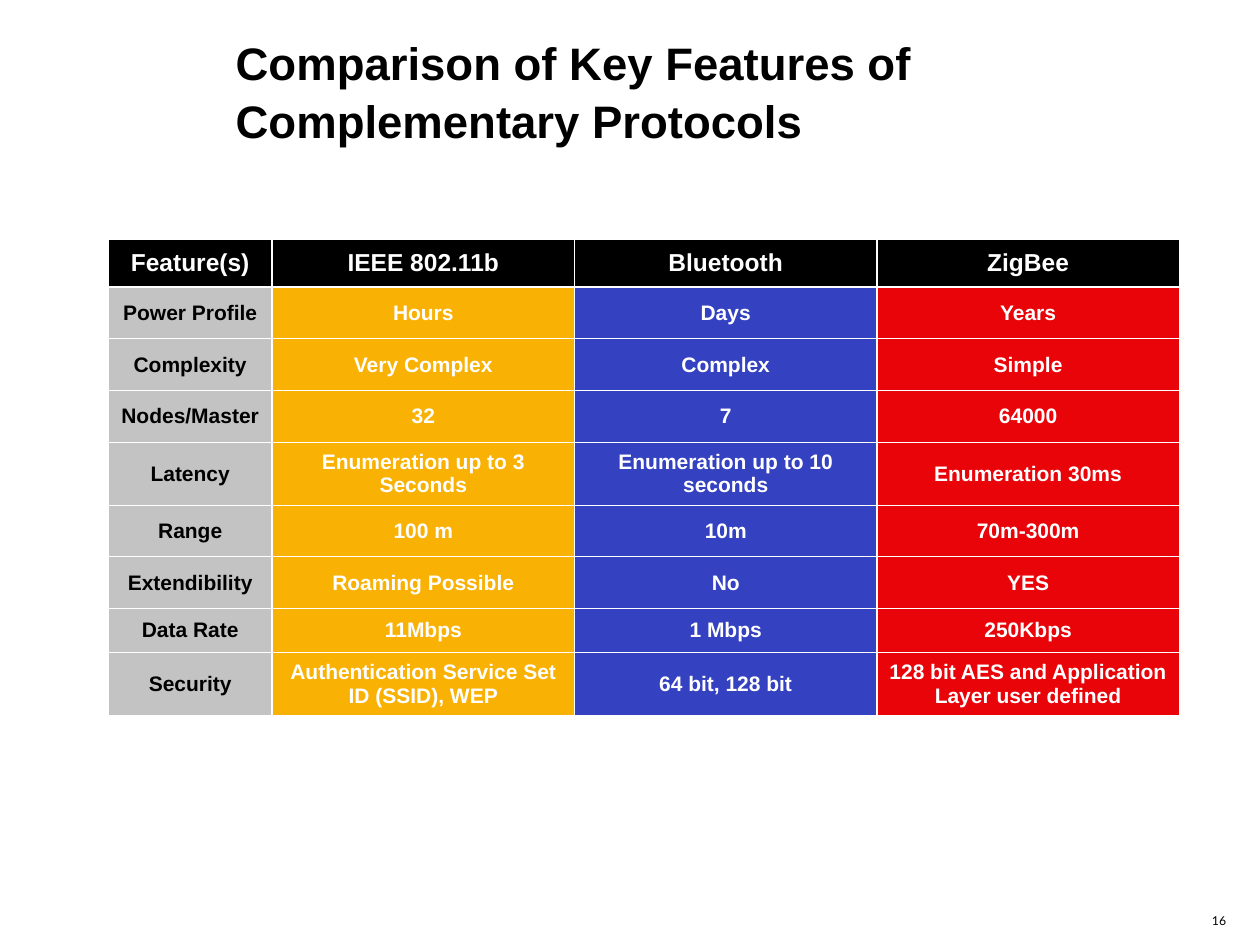
from lxml import etree
from pptx import Presentation
from pptx.dml.color import RGBColor
from pptx.enum import text as t
from pptx.oxml import ns
from pptx.util import Inches, Pt

BLACK = RGBColor(0x00, 0x00, 0x00)
WHITE = RGBColor(0xFF, 0xFF, 0xFF)
GRAY = RGBColor(0xC3, 0xC3, 0xC3)
GOLD = RGBColor(0xF9, 0xB1, 0x04)
BLUE = RGBColor(0x34, 0x41, 0xC0)
RED = RGBColor(0xE8, 0x04, 0x09)

FILLS = [GRAY, GOLD, BLUE, RED]
WIDTHS = [1.3, 2.4, 2.4, 2.4]
HEIGHTS = [0.38, 0.41, 0.41, 0.41, 0.5, 0.41, 0.41, 0.35, 0.5]
ROWS = [
    ["Feature(s)", "IEEE 802.11b", "Bluetooth", "ZigBee"],
    ["Power Profile", "Hours", "Days", "Years"],
    ["Complexity", "Very Complex", "Complex", "Simple"],
    ["Nodes/Master", "32", "7", "64000"],
    ["Latency", "Enumeration up to 3 Seconds", "Enumeration up to 10 seconds",
     "Enumeration 30ms"],
    ["Range", "100 m", "10m", "70m-300m"],
    ["Extendibility", "Roaming Possible", "No", "YES"],
    ["Data Rate", "11Mbps", "1 Mbps", "250Kbps"],
    ["Security", "Authentication Service Set ID (SSID), WEP", "64 bit, 128 bit",
     "128 bit AES and Application Layer user defined"],
]


def write(frame, words, size, color, align, face="Arial", bold=True):
    """Write one formatted run in the middle of a frame."""
    frame.word_wrap = True
    frame.vertical_anchor = t.MSO_ANCHOR.MIDDLE
    para = frame.paragraphs[0]
    para.alignment = align
    run = para.add_run()
    run.text = words
    run.font.name = face
    run.font.size = Pt(size)
    run.font.bold = bold
    run.font.color.rgb = color
    return para


def edge(cell, sides):
    """Draw white lines on the given sides of a cell."""
    props = cell._tc.get_or_add_tcPr()
    for side, width in sides.items():
        line = etree.SubElement(props, ns.qn("a:ln" + side), w=str(Pt(width)))
        fill = etree.SubElement(line, ns.qn("a:solidFill"))
        etree.SubElement(fill, ns.qn("a:srgbClr"), val=str(WHITE))


def sides(row, col):
    """Return the line widths around one cell."""
    found = {}
    if row and col:
        found["L"] = 1.08
    if row and col < len(WIDTHS) - 1:
        found["R"] = 1.08
    if row:
        found["T"] = 1.08 if row == 1 else 0.75
    if row < len(ROWS) - 1:
        found["B"] = 0.75 if row else 1.08
    return found


def title(slide, left, top, width, height):
    """Place the slide title in its box."""
    shape = slide.shapes.title
    shape.left, shape.top = Inches(left), Inches(top)
    shape.width, shape.height = Inches(width), Inches(height)
    para = write(shape.text_frame, "Comparison of Key Features of Complementary Protocols",
                 26, BLACK, t.PP_ALIGN.LEFT)
    para.line_spacing = 1.05
    shape.text_frame.auto_size = t.MSO_AUTO_SIZE.NONE


def grid(slide, left, top):
    """Place the table that compares the protocols."""
    frame = slide.shapes.add_table(
        len(ROWS), len(WIDTHS), Inches(left), Inches(top),
        Inches(sum(WIDTHS)), Inches(sum(HEIGHTS)))
    table = frame.table
    table.horz_banding = False
    for col, width in zip(table.columns, WIDTHS):
        col.width = Inches(width)
    for row, height in zip(table.rows, HEIGHTS):
        row.height = Inches(height)
    for r, words in enumerate(ROWS):
        for c, word in enumerate(words):
            cell = table.cell(r, c)
            edge(cell, sides(r, c))
            cell.fill.solid()
            cell.fill.fore_color.rgb = FILLS[c] if r else BLACK
            cell.vertical_anchor = t.MSO_ANCHOR.MIDDLE
            cell.margin_left = cell.margin_right = Inches(0.05 if r else 0.1)
            cell.margin_top = cell.margin_bottom = Inches(0.05)
            color = BLACK if r and not c else WHITE
            write(cell.text_frame, word, 12 if r else 14, color, t.PP_ALIGN.CENTER)


def number(slide, left, top, width, height):
    """Place the page number in its box."""
    box = slide.shapes.add_textbox(
        Inches(left), Inches(top), Inches(width), Inches(height))
    write(box.text_frame, "16", 7, BLACK, t.PP_ALIGN.CENTER, "Lato", False)


def main():
    """Build and save the slide."""
    deck = Presentation()
    deck.slide_width, deck.slide_height = Inches(10), Inches(7.5)
    slide = deck.slides.add_slide(deck.slide_layouts[5])
    title(slide, 1.77, 0.21, 8.03, 1.01)
    grid(slide, 0.86, 1.9)
    number(slide, 9.45, 7.14, 0.45, 0.33)
    deck.save("out.pptx")


if __name__ == "__main__":
    main()
